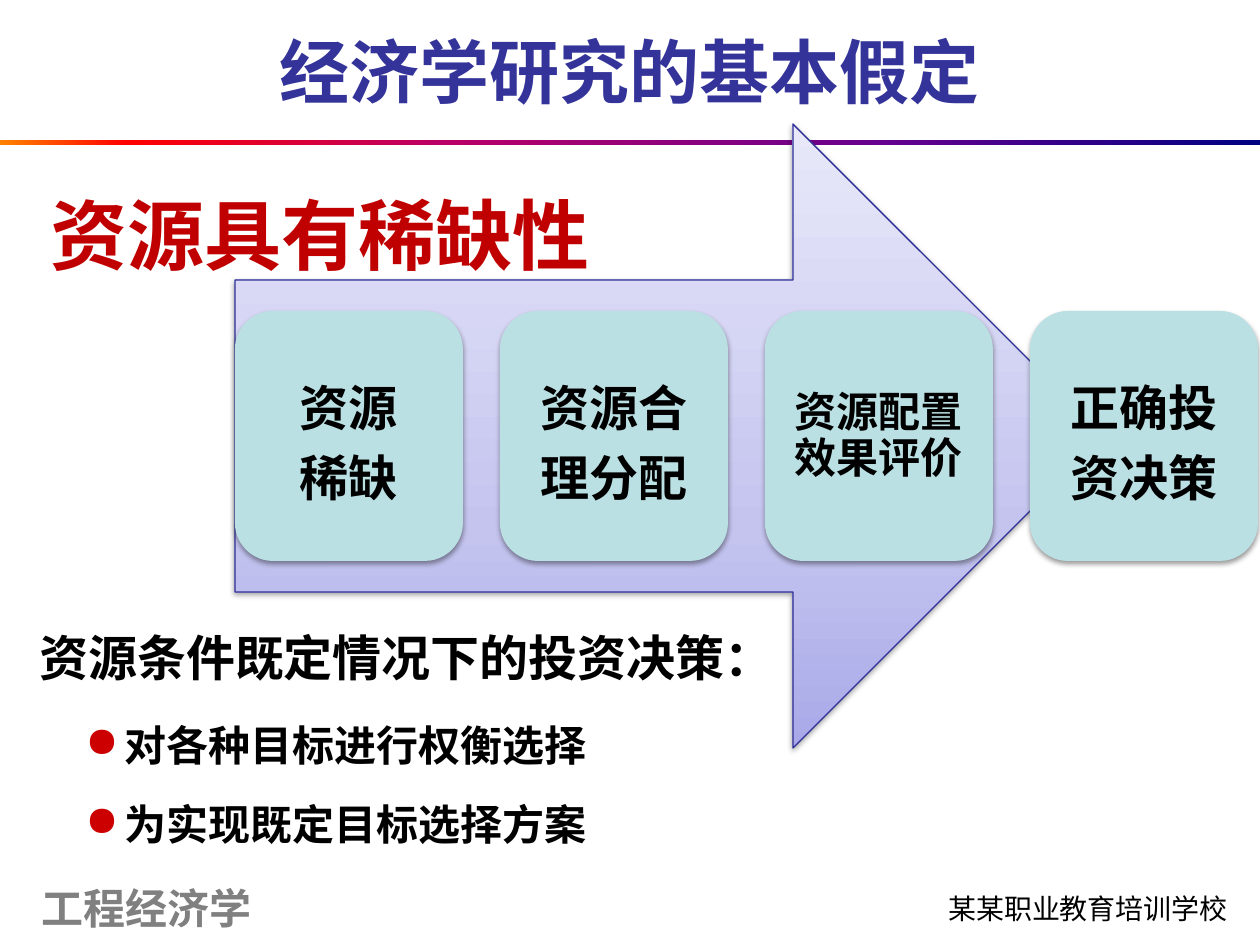
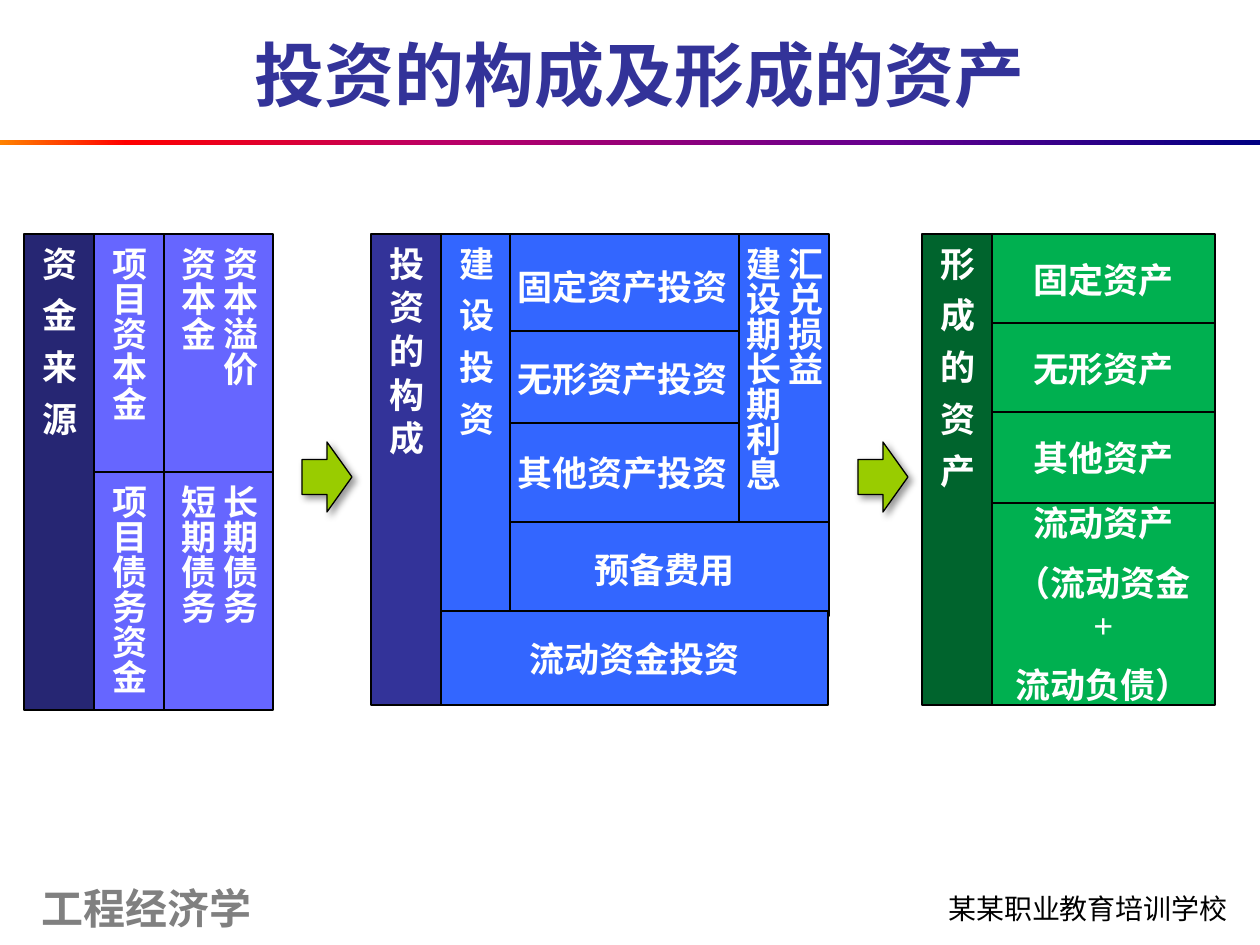
from dataclasses import dataclass
from typing import NamedTuple, Optional

from lxml import etree
from pptx import Presentation
from pptx import util as u
from pptx.dml.color import RGBColor
from pptx.enum import shapes, text
from pptx.oxml import ns

EMU_PER_PX = 914400 / 126
CJK_FONT = "Noto Sans CJK SC"

BLACK = RGBColor(0, 0, 0)
WHITE = RGBColor(255, 255, 255)
GREY = RGBColor(0x80, 0x80, 0x80)
INDIGO = RGBColor(0x33, 0x33, 0x99)
ARROW_EDGE = RGBColor(0x2F, 0x2F, 0x98)
CRIMSON = RGBColor(0xC0, 0, 0)
BULLET_RED = RGBColor(0xCC, 0, 0)
PALE_TEAL = RGBColor(0xBB, 0xE0, 0xE3)
NAVY = RGBColor(0x26, 0x26, 0x73)
VIOLET = RGBColor(0x66, 0x66, 0xFF)
BLUE = RGBColor(0x33, 0x66, 0xFF)
GREEN = RGBColor(0, 0xB0, 0x50)
DARK_GREEN = RGBColor(0, 0x64, 0x2D)
LIME = RGBColor(0x99, 0xCC, 0)

Stops = list[tuple[int, RGBColor]]
BAND_STOPS: Stops = [
    (0, RGBColor(0xFF, 0x82, 0)),
    (10, RGBColor(0xFF, 0, 0)),
    (35, RGBColor(0xBA, 0, 0x66)),
    (70, RGBColor(0x66, 0, 0x8F)),
    (100, RGBColor(0, 0, 0x82)),
]
ARROW_STOPS: Stops = [
    (0, RGBColor(0xA9, 0xA9, 0xE9)),
    (35, RGBColor(0xC4, 0xC4, 0xEF)),
    (100, RGBColor(0xE8, 0xE8, 0xFA)),
]


class Area(NamedTuple):
    left: int
    top: int
    width: int
    height: int


class Shadow(NamedTuple):
    alpha: int
    blur: float
    distance: float
    angle: int


CARD_SHADOW = Shadow(38, 3.1, 1.6, 90)
POINTER_SHADOW = Shadow(40, 4, 3, 45)

TITLE = {"size": u.Pt(40), "name": "Arial", "bold": True, "color": INDIGO}
COURSE = {"size": u.Pt(24), "name": "Arial", "bold": True, "color": GREY}
SCHOOL = {"size": u.Pt(16), "name": CJK_FONT, "bold": False, "color": BLACK}
HEADLINE = {"size": u.Pt(44), "name": CJK_FONT, "bold": True, "color": CRIMSON}
BODY = {"size": u.Pt(28), "name": CJK_FONT, "bold": True, "color": BLACK}
SMALL_BODY = BODY | {"size": u.Pt(24)}
CELL = {"size": u.Pt(20), "name": "Times New Roman", "bold": True, "color": WHITE}


@dataclass
class Line:
    words: str
    style: dict
    centred: bool = False
    pitch: Optional[int] = None
    before: int = 0
    margin: int = 0
    hanging: int = 0
    bullet: bool = False
    tracking: int = 0


@dataclass
class Cell:
    area: Area
    fill: RGBColor
    words: tuple[str, ...]
    vertical: bool = False
    wrap: bool = False
    before: int = 0
    tracking: int = 0


@dataclass
class Card:
    words: tuple[str, ...]
    style: dict
    pitch: int
    inset: int


def px(value: int) -> int:
    return round(value * EMU_PER_PX)


def place(area: Area) -> list[int]:
    return [px(value) for value in area]


def add_child(parent, tag: str, **values):
    child = etree.SubElement(parent, ns.qn(tag))
    for key, value in values.items():
        child.set(key, str(value))
    return child


def style_span(span, style: dict, tracking: int) -> None:
    for key, value in style.items():
        if key == "color":
            span.font.color.rgb = value
        else:
            setattr(span.font, key, value)
    properties = span._r.get_or_add_rPr()
    add_child(properties, "a:ea", typeface=CJK_FONT)
    if tracking:
        properties.set("spc", str(tracking))


def write(box, lines: list[Line], middle: bool = True, wrap: bool = True,
          vertical: bool = False, inset: Optional[int] = None) -> None:
    frame = box.text_frame
    frame.word_wrap = wrap
    frame.vertical_anchor = text.MSO_ANCHOR.MIDDLE if middle else text.MSO_ANCHOR.TOP
    if vertical:
        frame._txBody.bodyPr.set("vert", "eaVert")
    if inset is not None:
        for side in ("left", "top", "right", "bottom"):
            setattr(frame, f"margin_{side}", px(inset))
    for index, line in enumerate(lines):
        para = frame.paragraphs[0] if index == 0 else frame.add_paragraph()
        formats = {
            "alignment": text.PP_ALIGN.CENTER if line.centred else text.PP_ALIGN.LEFT,
            "space_before": u.Pt(line.before),
            "line_spacing": u.Pt(line.pitch) if line.pitch else None,
        }
        for key, value in formats.items():
            setattr(para, key, value)
        properties = para._p.get_or_add_pPr()
        properties.set("marL", str(px(line.margin)))
        properties.set("indent", str(-px(line.hanging)))
        if line.bullet:
            add_child(add_child(properties, "a:buClr"), "a:srgbClr", val=BULLET_RED)
            add_child(properties, "a:buChar", char="●")
        span = para.add_run()
        span.text = line.words
        style_span(span, line.style, line.tracking)


def add_text(page, area: Area, lines: list[Line], middle: bool = True) -> None:
    write(page.shapes.add_textbox(*place(area)), lines, middle)


def add_block(page, kind, area: Area, fill: Optional[RGBColor] = None,
              edge: Optional[RGBColor] = None, shadow: Optional[Shadow] = None):
    box = page.shapes.add_shape(kind, *place(area))
    if fill is not None:
        box.fill.solid()
        box.fill.fore_color.rgb = fill
    if edge is None:
        box.line.fill.background()
    else:
        box.line.color.rgb = edge
        box.line.width = u.Pt(0.75)
    box.shadow.inherit = False
    if shadow:
        effects = box._element.spPr.find(ns.qn("a:effectLst"))
        outer = add_child(effects, "a:outerShdw", blurRad=u.Pt(shadow.blur),
                          dist=u.Pt(shadow.distance), dir=shadow.angle * 60000,
                          algn="ctr", rotWithShape=0)
        colour = add_child(outer, "a:srgbClr", val=BLACK)
        add_child(colour, "a:alpha", val=shadow.alpha * 1000)
    return box


def fill_gradient(box, stops: Stops, angle: int) -> None:
    box.fill.gradient()
    box.fill.gradient_angle = angle
    stop_list = next(box._element.spPr.iter(ns.qn("a:gsLst")))
    for stop in list(stop_list):
        stop_list.remove(stop)
    for position, colour in stops:
        stop = add_child(stop_list, "a:gs", pos=position * 1000)
        add_child(stop, "a:srgbClr", val=colour)


def start_page(deck, title: str, title_area: Area):
    page = deck.slides.add_slide(deck.slide_layouts[6])
    add_text(page, Area(29, 876, 315, 63), [Line("工程经济学", COURSE)])
    band = add_block(page, shapes.MSO_SHAPE.RECTANGLE, Area(0, 140, 1260, 5))
    fill_gradient(band, BAND_STOPS, 0)
    add_text(page, Area(936, 885, 324, 47), [Line("某某职业教育培训学校", SCHOOL)])
    add_text(page, title_area, [Line(title, TITLE, centred=True)])
    return page


def draw_assumption(deck) -> None:
    page = start_page(deck, "经济学研究的基本假定", Area(64, 6, 1131, 129))
    arrow = add_block(page, shapes.MSO_SHAPE.RIGHT_ARROW, Area(235, 124, 870, 624),
                      edge=ARROW_EDGE, shadow=CARD_SHADOW)
    fill_gradient(arrow, ARROW_STOPS, 90)
    cards = [
        Card(("资源", "稀缺"), BODY, 40, 15),
        Card(("资源合", "理分配"), BODY, 40, 15),
        Card(("资源配置效果评价",), SMALL_BODY, 26, 13),
        Card(("正确投", "资决策"), BODY, 40, 15),
    ]
    card_left, card_width, card_gap = 235, 228, 37
    for index, card in enumerate(cards):
        area = Area(card_left + index * (card_width + card_gap), 311, card_width, 250)
        box = add_block(page, shapes.MSO_SHAPE.ROUNDED_RECTANGLE, area,
                        PALE_TEAL, shadow=CARD_SHADOW)
        lines = [Line(words, card.style, centred=True, pitch=card.pitch)
                 for words in card.words]
        write(box, lines, inset=card.inset)
    add_text(page, Area(21, 137, 687, 137),
             [Line("资源具有稀缺性", HEADLINE, pitch=78, margin=17)], middle=False)
    bullet = {"margin": 102, "hanging": 39, "bullet": True}
    add_text(page, Area(10, 552, 816, 325), [
        Line("资源条件既定情况下的投资决策：", BODY, pitch=73, margin=17),
        Line("对各种目标进行权衡选择", SMALL_BODY, pitch=48, **bullet),
        Line("为实现既定目标选择方案", SMALL_BODY, pitch=45, **bullet),
    ], middle=False)


def add_cell(page, cell: Cell) -> None:
    box = add_block(page, shapes.MSO_SHAPE.RECTANGLE, cell.area, cell.fill, BLACK)
    pitch = 24 if len(cell.words) > 1 else None
    lines = [Line(words, CELL, centred=not cell.vertical, pitch=pitch,
                  before=cell.before, tracking=cell.tracking) for words in cell.words]
    write(box, lines, wrap=cell.wrap, vertical=cell.vertical,
          inset=16 if cell.wrap else None)


def draw_investment(deck) -> None:
    page = start_page(deck, "投资的构成及形成的资产", Area(223, 26, 833, 95))
    top, column, half, wide = 234, 69, 238, 240
    sources = [
        Cell(Area(24, top, 70, 2 * half), NAVY, ("资 金 来 源",), True, tracking=240),
    ]
    source_rows = [
        ("项目资本金", ("资本溢价", "资本金")),
        ("项目债务资金", ("长期债务", "短期债务")),
    ]
    for row, (name, parts) in enumerate(source_rows):
        row_top = top + row * half
        sources.append(Cell(Area(94, row_top, 70, half), VIOLET, (name,), True))
        sources.append(Cell(Area(164, row_top, 109, half), VIOLET, parts, True))

    investment = [
        Cell(Area(501, top, 243, 105), BLUE, ("固定资产投资",)),
        Cell(Area(501, 331, 243, 95), BLUE, ("无形资产投资",)),
        Cell(Area(501, 423, 243, 100), BLUE, ("其他资产投资",)),
        Cell(Area(739, top, 90, 288), BLUE, ("汇兑损益", "建设期长期利息"), True),
        Cell(Area(501, 522, 328, 94), BLUE, ("预备费用",)),
        Cell(Area(371, top, 70, 471), INDIGO, ("投 资 的 构 成",), True),
        Cell(Area(441, top, column, 382), BLUE, ("建 设 投 资",), True, tracking=240),
        Cell(Area(441, 611, 387, 94), BLUE, ("流动资金投资",)),
    ]

    asset_left, asset_width, asset_pitch = 992, 223, 89
    assets = [
        Cell(Area(asset_left, 502, asset_width, 203), GREEN,
             ("流动资产", "（流动资金+", "流动负债）"), wrap=True, before=10),
    ]
    for row, name in enumerate(("固定资产", "无形资产", "其他资产")):
        area = Area(asset_left, top + row * asset_pitch, asset_width, 91)
        assets.append(Cell(area, GREEN, (name,)))
    assets.append(Cell(Area(922, top, 70, 471), DARK_GREEN,
                       ("形 成 的 资 产",), True, tracking=240))

    for cell in sources + investment + assets:
        add_cell(page, cell)
    for left in (302, 858):
        add_block(page, shapes.MSO_SHAPE.RIGHT_ARROW, Area(left, 442, 50, 70),
                  LIME, BLACK, POINTER_SHADOW)


def main() -> None:
    deck = Presentation()
    deck.slide_width, deck.slide_height = px(1260), px(945)
    draw_assumption(deck)
    draw_investment(deck)
    deck.save("out.pptx")


if __name__ == "__main__":
    main()
